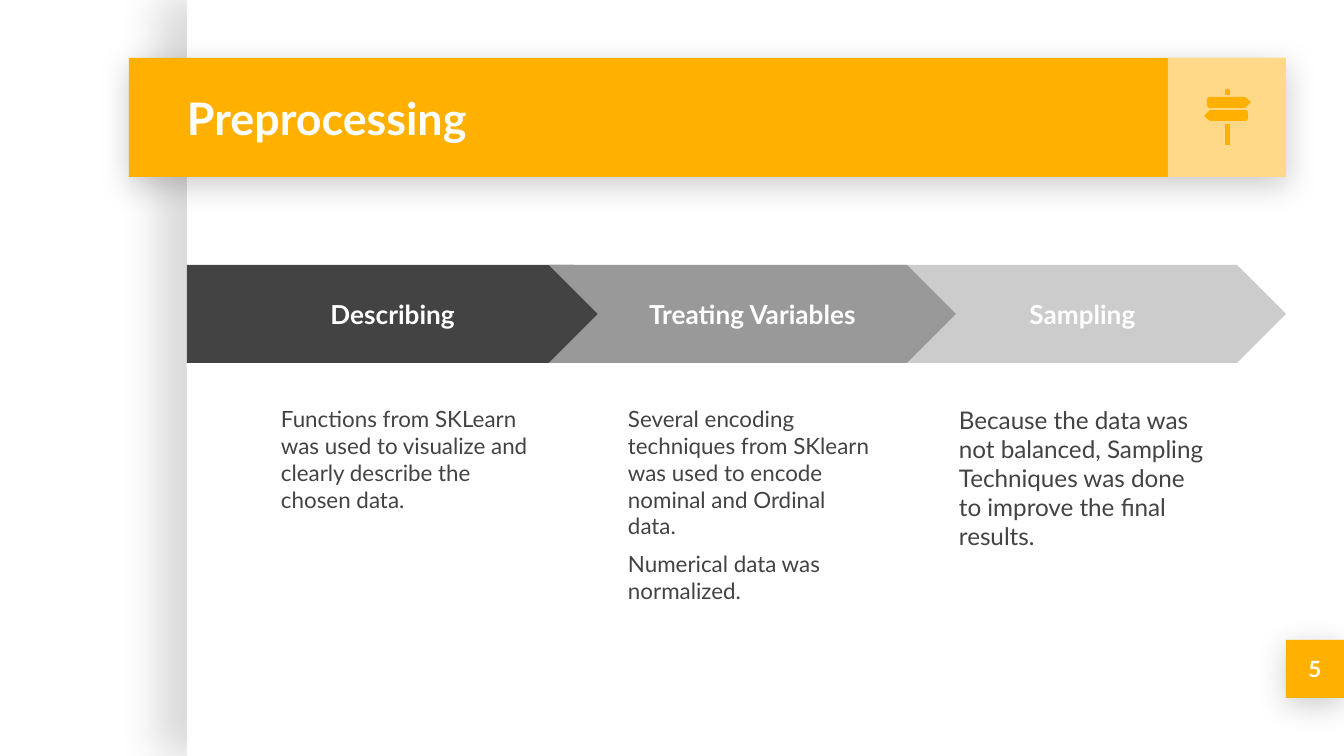
from pptx import Presentation
from pptx.dml.color import RGBColor
from pptx.enum.shapes import MSO_SHAPE
from pptx.enum.text import MSO_ANCHOR, PP_ALIGN
from pptx.oxml import parse_xml
from pptx.oxml.ns import nsdecls
from pptx.util import Pt

PX = 914400 / 134.4
THEME = {
    "font": "Lato",
    "white": "FFFFFF", "accent": "FFB000", "dark": "434343",
    "mid": "999999", "light": "CCCCCC",
    "title": 24, "step": 14, "body": 12, "body_large": 13, "number": 12,
}


def paint(sp, color):
    sp.shadow.inherit = False
    sp.fill.solid()
    sp.fill.fore_color.rgb = RGBColor.from_string(THEME[color])
    sp.line.fill.background()


def write(sp, lines, size, color="white", bold=True, align=PP_ALIGN.LEFT,
          anchor=MSO_ANCHOR.MIDDLE, before=0):
    tf = sp.text_frame
    tf.word_wrap = True
    tf.vertical_anchor = anchor
    tf.margin_left = tf.margin_right = tf.margin_top = tf.margin_bottom = round(13 * PX)
    tf.text = "\n".join(lines)
    for p in tf.paragraphs:
        p.alignment = align
        p.space_before = Pt(before)
        for r in p.runs:
            r.font.name = THEME["font"]
            r.font.size = Pt(THEME[size])
            r.font.bold = bold
            r.font.color.rgb = RGBColor.from_string(THEME[color])


prs = Presentation()
prs.slide_width, prs.slide_height = round(1344 * PX), round(756 * PX)
s = prs.slides.add_slide(prs.slide_layouts[6])

panels = {}
for part, box, color, shadow in [
    ("page", (187, 0, 1157, 756), "white", (15, 22.5, 15, 180)),
    ("number", (1286, 640, 58, 58), "accent", (20, 16.9, 3.8, 90)),
    ("title bar", (129, 58, 1157, 119), "accent", (20, 16.9, 3.8, 90)),
    ("icon tile", (1168, 58, 118, 119), "white", None),
]:
    sp = s.shapes.add_shape(MSO_SHAPE.RECTANGLE, *[round(v * PX) for v in box])
    paint(sp, color)
    panels[part] = sp
    if shadow:
        alpha, blur, dist, angle = shadow
        effects = sp._element.spPr.find(".//{*}effectLst")
        effects.append(parse_xml(
            f'<a:outerShdw {nsdecls("a")} blurRad="{Pt(blur)}" dist="{Pt(dist)}" '
            f'dir="{angle * 60000}" algn="bl" rotWithShape="0"><a:srgbClr val="000000">'
            f'<a:alpha val="{alpha * 1000}"/></a:srgbClr></a:outerShdw>'))

tile_color = panels["icon tile"]._element.spPr.find(".//{*}srgbClr")
tile_color.append(parse_xml(f'<a:alpha {nsdecls("a")} val="53000"/>'))
write(panels["number"], ["5"], "number", align=PP_ALIGN.CENTER)

title = s.shapes.add_textbox(*[round(v * PX) for v in (174, 58, 990, 119)])
write(title, ["Preprocessing"], "title")

signpost = s.shapes.add_group_shape()
for points in [
    [(1209, 97), (1245, 97), (1251, 102), (1245, 108), (1209, 108), (1207, 106), (1207, 99)],
    [(1210, 110), (1246, 110), (1248, 112), (1248, 119), (1246, 121), (1210, 121), (1204, 116)],
    [(1226, 89), (1229, 89), (1230, 90), (1230, 95), (1225, 95), (1225, 90)],
    [(1225, 124), (1230, 124), (1230, 145), (1225, 145)],
]:
    fb = signpost.shapes.build_freeform(*points[0], scale=PX)
    fb.add_line_segments(points[1:], close=True)
    paint(fb.convert_to_shape(), "accent")

for kind, left, width, color, step, text_left, size, lines in [
    (MSO_SHAPE.CHEVRON, 879, 407, "light", "Sampling", 946, "body_large",
     ["Because the data was not balanced, Sampling Techniques was done to improve "
      "the final results."]),
    (MSO_SHAPE.PENTAGON, 187, 436, "dark", "Describing", 268, "body",
     ["Functions from SKLearn was used to visualize and clearly describe the chosen data."]),
    (MSO_SHAPE.CHEVRON, 549, 407, "mid", "Treating Variables", 615, "body",
     ["Several encoding techniques from SKlearn was used to encode nominal and Ordinal data.",
      "Numerical data was normalized."]),
]:
    sp = s.shapes.add_shape(kind, *[round(v * PX) for v in (left, 265, width, 98)])
    sp.adjustments[0] = 0.5
    paint(sp, color)
    write(sp, [step], "step", align=PP_ALIGN.CENTER)
    body = s.shapes.add_textbox(*[round(v * PX) for v in (text_left, 392, 276, 282)])
    write(body, lines, size, "dark", False, anchor=MSO_ANCHOR.TOP, before=6)

prs.save("out.pptx")
